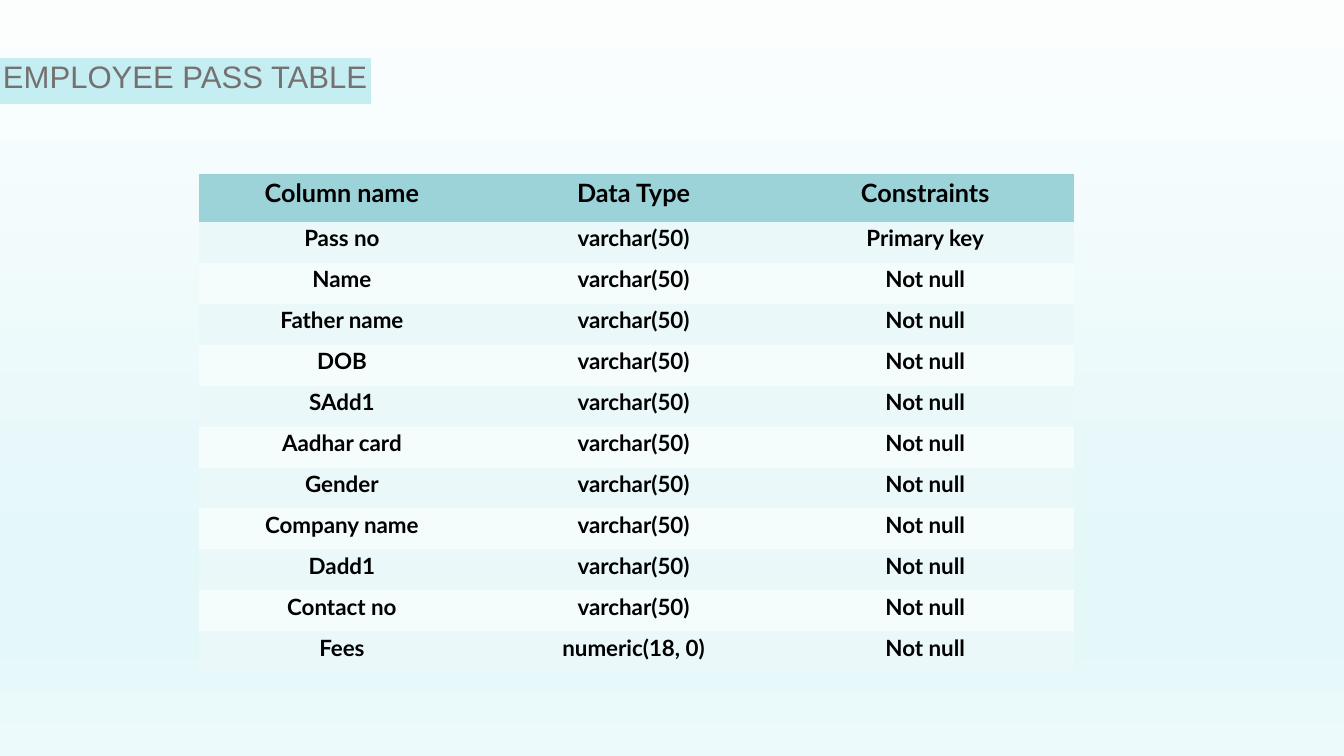
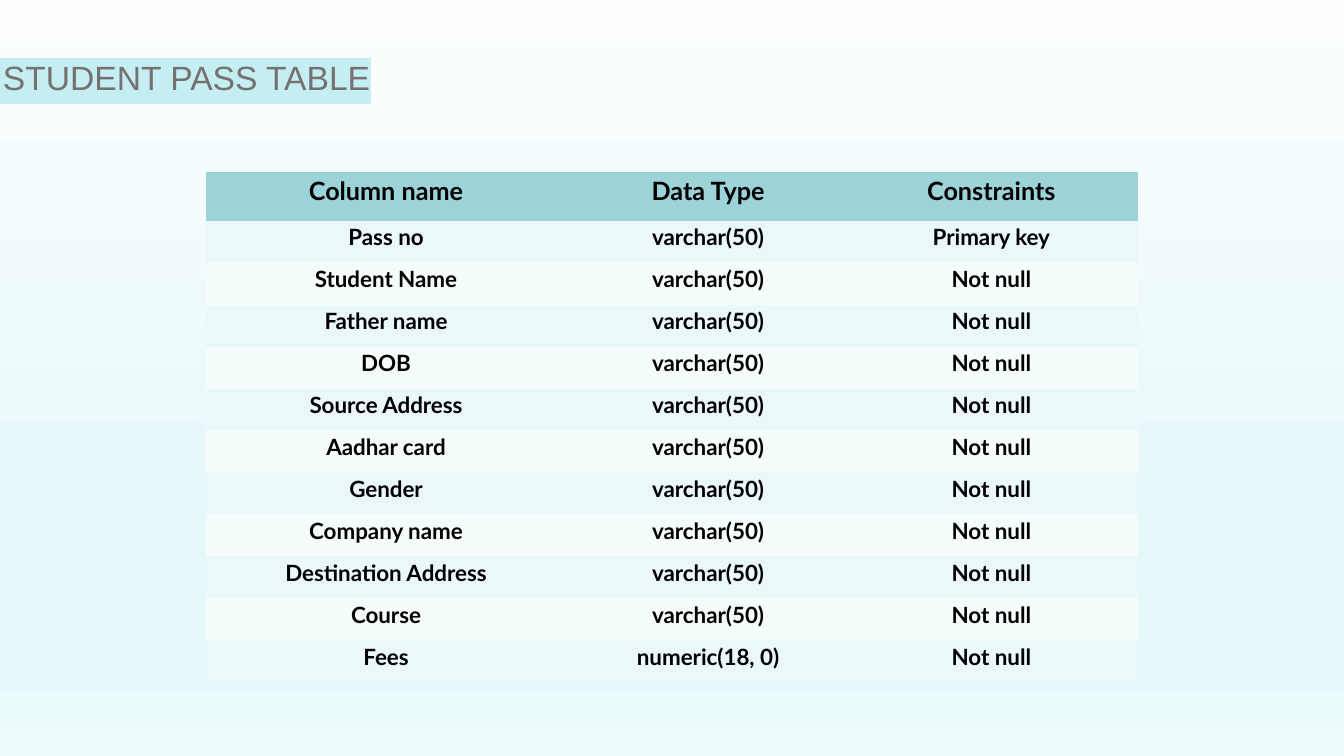
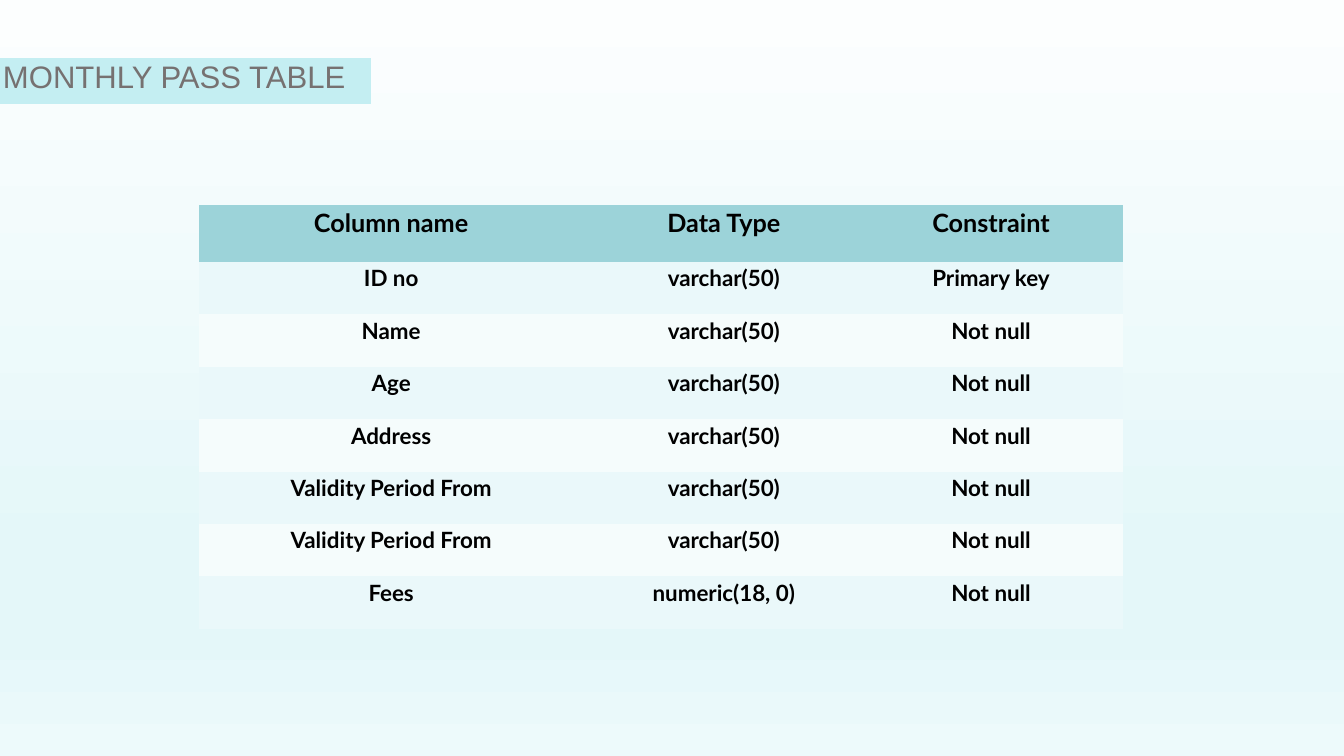
from lxml import etree
from pptx import Presentation
from pptx import util as u
from pptx.dml.color import RGBColor
from pptx.enum import shapes, text
from pptx.oxml.ns import qn

BACKGROUND_STOPS = [(0, "FCFEFE"), (74, "E4F7F9"), (83, "E4F7F9"), (100, "EDFAFB")]
BAND_FILL = "C4EEF2"
TITLE_COLOUR = "767171"
HEADER_FILL = "9CD3D9"
ROW_FILLS = ["F5FCFC", "EAF8FA"]
NO_TABLE_STYLE = "{2D5ABB26-0587-4C30-8999-92F81FD0307C}"

# Lengths below are percentages of the slide's width or height.
TABLES = [
    dict(title="EMPLOYEE PASS TABLE", title_size=22.2, left=14.78, top=23.07,
         columns=[21.7, 21.7, 21.7], header_height=6.27, row_height=5.42,
         last_heading="Constraints",
         fields=["Pass no", "Name", "Father name", "DOB", "SAdd1", "Aadhar card",
                 "Gender", "Company name", "Dadd1", "Contact no", "Fees"]),
    dict(title="STUDENT PASS TABLE", title_size=24, left=15.3, top=22.8,
         columns=[27.23, 20.7, 21.45], header_height=6.4, row_height=5.55,
         last_heading="Constraints",
         fields=["Pass no", "Student Name", "Father name", "DOB", "Source Address",
                 "Aadhar card", "Gender", "Company name", "Destination Address",
                 "Course", "Fees"]),
    dict(title="MONTHLY PASS TABLE", title_size=22.2, left=14.78, top=27.07,
         columns=[29.03, 20.48, 19.28], header_height=7.6, row_height=6.93,
         last_heading="Constraint",
         fields=["ID no", "Name", "Age", "Address", "Validity Period From",
                 "Validity Period From", "Fees"]),
]

presentation = Presentation()
presentation.slide_width = u.Inches(13.33)
presentation.slide_height = u.Inches(7.5)


def colour(value):
    return RGBColor.from_string(value)


def box(left, top, width, height):
    """Turn percentages of the slide into left, top, width and height."""
    across, down = presentation.slide_width / 100, presentation.slide_height / 100
    return [int(left * across), int(top * down), int(width * across), int(height * down)]


master = presentation.slide_master
background = master.background.fill
background.gradient()
background.gradient_angle = 270
stops = master.element.find(".//" + qn("a:gsLst"))
stops.clear()
for position, value in BACKGROUND_STOPS:
    stop = etree.SubElement(stops, qn("a:gs"), pos=str(position * 1000))
    etree.SubElement(stop, qn("a:srgbClr"), val=value)

for content in TABLES:
    slide = presentation.slides.add_slide(presentation.slide_layouts.get_by_name("Title Only"))

    band = slide.shapes.add_shape(shapes.MSO_SHAPE.MATH_MINUS, *box(-4.95, -2.13, 37.5, 25.73))
    band.shadow.inherit = False
    band.fill.solid()
    band.fill.fore_color.rgb = colour(BAND_FILL)
    band.line.fill.background()

    title = slide.shapes.title
    band.element.addnext(title.element)
    title.left, title.top, title.width, title.height = box(-0.53, 7.47, 29.26, 7.47)
    frame = title.text_frame
    frame.text = content["title"]
    frame.word_wrap = True
    frame.auto_size = text.MSO_AUTO_SIZE.NONE
    frame.vertical_anchor = text.MSO_ANCHOR.TOP
    paragraph = frame.paragraphs[0]
    paragraph.alignment = text.PP_ALIGN.LEFT
    paragraph.line_spacing = 0.9
    font = paragraph.runs[0].font
    font.name = "Arial"
    font.size = u.Pt(content["title_size"])
    font.color.rgb = colour(TITLE_COLOUR)

    rows = [["Column name", "Data Type", content["last_heading"]]]
    for index, field in enumerate(content["fields"]):
        data_type = "numeric(18, 0)" if field == "Fees" else "varchar(50)"
        rows.append([field, data_type, "Not null" if index else "Primary key"])
    heights = [content["header_height"]] + [content["row_height"]] * len(content["fields"])

    table_box = box(content["left"], content["top"], sum(content["columns"]), sum(heights))
    table = slide.shapes.add_table(len(rows), 3, *table_box).table
    table.first_row = table.horz_banding = False
    table._tbl.tblPr.find(qn("a:tableStyleId")).text = NO_TABLE_STYLE
    for column, width in zip(table.columns, content["columns"]):
        column.width = box(0, 0, width, 0)[2]

    for row_number, (row, values) in enumerate(zip(table.rows, rows)):
        row.height = box(0, 0, 0, heights[row_number])[3]
        for cell, value in zip(row.cells, values):
            cell.text = value
            cell.margin_left, cell.margin_right = u.Inches(0.08), u.Inches(0.13)
            cell.margin_top, cell.margin_bottom = u.Inches(0.01), 0
            cell.fill.solid()
            cell.fill.fore_color.rgb = colour(ROW_FILLS[row_number % 2] if row_number else HEADER_FILL)
            paragraph = cell.text_frame.paragraphs[0]
            paragraph.alignment = text.PP_ALIGN.CENTER
            paragraph.line_spacing = 1.07
            font = paragraph.runs[0].font
            font.name = "Lato"
            font.size = u.Pt(16 if row_number else 18)
            font.bold = True
            font.color.rgb = colour("000000")

presentation.save("out.pptx")
